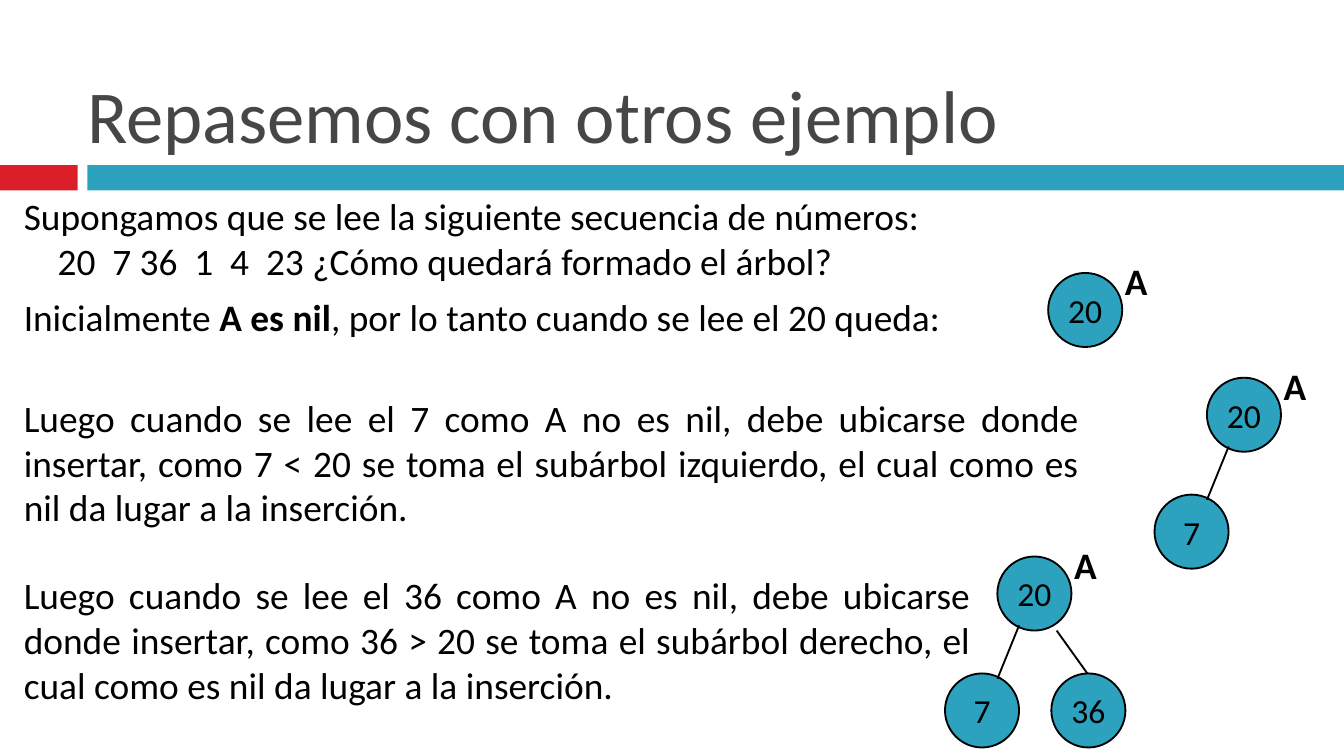
from lxml import etree
from pptx import Presentation
from pptx.dml.color import RGBColor
from pptx.enum import shapes, text
from pptx.oxml.ns import qn
from pptx.util import Cm, Pt

BLACK, GREY, TEAL, RED = "000000", "464646", "2DA2BF", "DA1F28"
LEFT, JUSTIFY = text.PP_ALIGN.LEFT, text.PP_ALIGN.JUSTIFY

TITLE = "Repasemos con otros ejemplo"
BARS = [(0, 1.47, RED), (1.65, 23.75, TEAL)]

STEPS = [
    (3.53, 24.2, 1.96, LEFT, [
        [("Supongamos que se lee la siguiente secuencia de números:", False)],
        [("20  7 36  1  4  23 ¿Cómo quedará formado el árbol?", False)],
    ]),
    (5.44, 18.4, 1.96, LEFT, [
        [("Inicialmente ", False), ("A es nil", True),
         (", por lo tanto cuando se lee el 20 queda:", False)],
    ]),
    (7.34, 20.45, 2.79, JUSTIFY, [
        [("Luego cuando se lee el 7 como A no es nil, debe ubicarse donde "
          "insertar, como 7 < 20 se toma el subárbol izquierdo, el cual como "
          "es nil da lugar a la inserción. ", False)],
    ]),
    (10.69, 18.4, 3.66, JUSTIFY, [
        [("Luego cuando se lee el 36 como A no es nil, debe ubicarse donde "
          "insertar, como 36 > 20 se toma el subárbol derecho, el cual como "
          "es nil da lugar a la inserción. ", False)],
    ]),
]
SEQUENCE_INDENT = 0.64

TREES = [
    {"at": (19.81, 5.16), "root": "20"},
    {"at": (22.81, 7.14), "root": "20", "left": "7"},
    {"at": (18.85, 10.52), "root": "20", "left": "7", "right": "36"},
]
NODE = 1.4
CHILDREN = {
    "left": {"node": (-0.99, 2.21), "edge": (0.41, 1.3, 0, 2.31)},
    "right": {"node": (1.02, 2.21), "edge": (1.12, 1.4, 1.7, 2.21)},
}


def color(value):
    return RGBColor.from_string(value)


def style(paragraph, size, ink=BLACK, bold=None):
    font = paragraph.font
    font.name, font.size, font.bold = "Calibri", Pt(size), bold
    font.color.rgb = color(ink)


def add_box(slide, x, y, width, height):
    frame = slide.shapes.add_textbox(Cm(x), Cm(y), Cm(width), Cm(height)).text_frame
    frame.word_wrap = True
    return frame


def add_filled(slide, kind, x, y, width, height, fill):
    shape = slide.shapes.add_shape(kind, Cm(x), Cm(y), Cm(width), Cm(height))
    shape.shadow.inherit = False
    shape.fill.solid()
    shape.fill.fore_color.rgb = color(fill)
    shape.line.fill.background()
    return shape


def add_step(slide, y, width, height, align, lines):
    frame = add_box(slide, 0.2, y, width, height)
    for index, runs in enumerate(lines):
        paragraph = frame.add_paragraph() if index else frame.paragraphs[0]
        paragraph.alignment = align
        if index:
            paragraph._p.get_or_add_pPr().set("marL", str(Cm(SEQUENCE_INDENT)))
        style(paragraph, 20)
        for words, bold in runs:
            run = paragraph.add_run()
            run.text = words
            if bold:
                run.font.bold = True


def add_node(slide, x, y, key):
    node = add_filled(slide, shapes.MSO_SHAPE.OVAL, x, y, NODE, NODE, TEAL)
    node.line.color.rgb = color(BLACK)
    node.line.width = Pt(1)
    frame = node.text_frame
    frame.word_wrap = False
    frame.vertical_anchor = text.MSO_ANCHOR.MIDDLE
    frame.text = key
    frame.paragraphs[0].alignment = text.PP_ALIGN.CENTER
    style(frame.paragraphs[0], 18)


def add_edge(slide, x1, y1, x2, y2):
    edge = slide.shapes.add_connector(
        shapes.MSO_CONNECTOR.STRAIGHT, Cm(x1), Cm(y1), Cm(x2), Cm(y2))
    edge.line.color.rgb = color(BLACK)
    edge.line.width = Pt(1)
    etree.SubElement(edge._element.spPr, qn("a:effectLst"))


def add_tree(slide, tree):
    x, y = tree["at"]
    add_node(slide, x, y, tree["root"])
    label = add_box(slide, x + 1.2, y - 0.4, 1, 1.11)
    label.text = "A"
    style(label.paragraphs[0], 20, bold=True)
    for side, offsets in CHILDREN.items():
        if side in tree:
            dx, dy = offsets["node"]
            add_node(slide, x + dx, y + dy, tree[side])
            x1, y1, x2, y2 = offsets["edge"]
            add_edge(slide, x + x1, y + y1, x + x2, y + y2)


def main():
    deck = Presentation()
    deck.slide_width, deck.slide_height = Cm(25.4), Cm(14.29)
    slide = deck.slides.add_slide(deck.slide_layouts[6])

    for x, width, fill in BARS:
        add_filled(slide, shapes.MSO_SHAPE.RECTANGLE, x, 3.12, width, 0.48, fill)

    heading = add_box(slide, 1.4, 0.33, 23.7, 2.79)
    heading.vertical_anchor = text.MSO_ANCHOR.BOTTOM
    heading.text = TITLE
    style(heading.paragraphs[0], 40, GREY)

    for step in STEPS:
        add_step(slide, *step)
    for tree in TREES:
        add_tree(slide, tree)

    deck.save("out.pptx")


if __name__ == "__main__":
    main()
